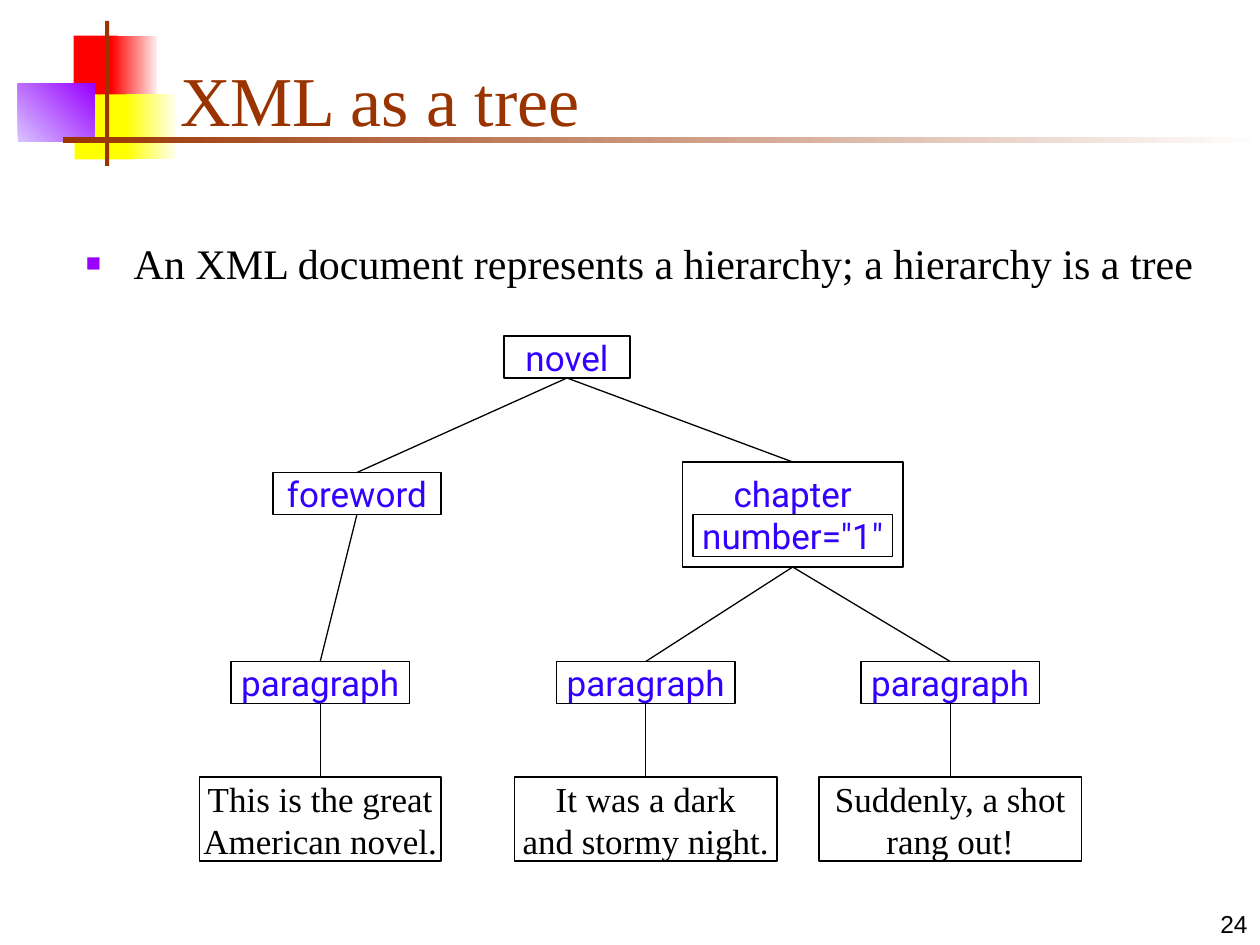
from lxml.etree import SubElement
from pptx import Presentation
from pptx.dml.color import RGBColor
from pptx.enum.shapes import MSO_CONNECTOR as LINE, MSO_SHAPE as SHAPE
from pptx.enum.text import MSO_ANCHOR as ANCHOR, PP_ALIGN as ALIGN
from pptx.oxml.ns import qn
from pptx.util import Inches, Pt

COLORS = {
    "red": "FF0000", "pale_red": "FFEAEA",
    "yellow": "FFFF00", "pale_yellow": "FFFFF0",
    "violet": "9900FF", "pale_violet": "D8C4FF",
    "brown": "993300", "white": "FFFFFF",
    "black": "000000", "tag": "3300FF",
}
SERIF, SANS, TAG_FONT = "Times New Roman", "Arial", "Roboto"
UNIT = Inches(1) // 12  # grid of 120 columns by 90 rows
TOP, BOTTOM = 0, 2      # connection sites of a rectangle


def rgb(name):
    """Return a named colour."""
    return RGBColor.from_string(COLORS[name])


def cells(*values):
    """Turn columns and rows into lengths."""
    return [round(v * UNIT) for v in values]


def write(p, text, font, size, color):
    """Add text to a paragraph, one run per line."""
    for i, line in enumerate(text.split("\n")):
        if i:
            p.add_line_break()
        r = p.add_run()
        r.text = line
        r.font.name, r.font.size = font, Pt(size)
        r.font.color.rgb = rgb(color)


def add_bar(slide, box, color, end=None, angle=0):
    """Add a borderless rectangle, plain or fading to an end colour."""
    s = slide.shapes.add_shape(SHAPE.RECTANGLE, *cells(*box))
    s.shadow.inherit = False
    s.line.fill.background()
    if end:
        s.fill.gradient()
        s.fill.gradient_angle = angle
        for stop, name in zip(s.fill.gradient_stops, (color, end)):
            stop.color.rgb = rgb(name)
    else:
        s.fill.solid()
        s.fill.fore_color.rgb = rgb(color)


def add_text(slide, box, text, font, size, color,
             anchor=ANCHOR.TOP, align=ALIGN.LEFT):
    """Add a wrapping text box and return its paragraph."""
    tf = slide.shapes.add_textbox(*cells(*box)).text_frame
    tf.word_wrap, tf.vertical_anchor = True, anchor
    p = tf.paragraphs[0]
    p.alignment = align
    write(p, text, font, size, color)
    return p


def add_bullet(p, char, color, percent):
    """Give a paragraph a hanging square bullet."""
    p.space_before = Pt(4.8)
    pPr = p._p.get_or_add_pPr()
    indent = Inches(0.38)
    pPr.set("marL", str(indent))
    pPr.set("indent", str(-indent))
    SubElement(SubElement(pPr, qn("a:buClr")), qn("a:srgbClr"), val=COLORS[color])
    SubElement(pPr, qn("a:buSzPct"), val=str(percent * 1000))
    SubElement(pPr, qn("a:buFont"), typeface=SANS)
    SubElement(pPr, qn("a:buChar"), char=char)


def add_node(slide, box, text="", font=TAG_FONT, color="tag",
             kind=SHAPE.RECTANGLE):
    """Add an outlined tree node with centred text."""
    s = slide.shapes.add_shape(kind, *cells(*box))
    s.shadow.inherit = False
    s.fill.background()
    s.line.color.rgb, s.line.width = rgb("black"), Pt(0.75)
    if text:
        tf = s.text_frame
        tf.word_wrap, tf.vertical_anchor = False, ANCHOR.MIDDLE
        tf.paragraphs[0].alignment = ALIGN.CENTER
        write(tf.paragraphs[0], text, font, 20, color)
    return s


def link(slide, parent, child):
    """Connect the bottom of a parent to the top of a child."""
    c = slide.shapes.add_connector(LINE.STRAIGHT, 0, 0, 0, 0)
    c.begin_connect(parent, BOTTOM)
    c.end_connect(child, TOP)
    c.line.color.rgb, c.line.width = rgb("black"), Pt(0.75)
    SubElement(c._element.spPr, qn("a:effectLst"))


def add_decoration(slide):
    """Add the coloured blocks and rules beside the title."""
    add_bar(slide, (7, 3.4, 4.2, 6.2), "red")
    add_bar(slide, (10.6, 3.4, 4.3, 6.2), "red", "pale_red")
    add_bar(slide, (7.1, 9, 5.5, 6.2), "yellow")
    add_bar(slide, (12, 9, 4.8, 6.2), "yellow", "pale_yellow")
    add_bar(slide, (1.7, 8, 7.3, 5.5), "pale_violet", "violet", 45)
    add_bar(slide, (10, 2, 0.4, 13.8), "brown")
    add_bar(slide, (6, 13, 114, 0.6), "brown", "white")


def add_tree(slide):
    """Add the element tree with its text leaves."""
    novel = add_node(slide, (48, 32, 12, 4), "novel", kind=SHAPE.FLOWCHART_PROCESS)
    foreword = add_node(slide, (26, 45, 16, 4), "foreword")
    chapter = add_node(slide, (65, 44, 21, 10), 'chapter\nnumber="1"')
    add_node(slide, (66, 49, 19, 4))
    for section in (foreword, chapter):
        link(slide, novel, section)

    branches = [
        (foreword, 30.5, 23, "This is the great\nAmerican novel."),
        (chapter, 61.5, 25, "It was a dark\nand stormy night."),
        (chapter, 90.5, 25, "Suddenly, a shot\nrang out!"),
    ]
    for section, center, width, text in branches:
        paragraph = add_node(slide, (center - 8.5, 63, 17, 4), "paragraph")
        leaf = add_node(slide, (center - width / 2, 74, width, 8),
                        text, SERIF, "black")
        link(slide, section, paragraph)
        link(slide, paragraph, leaf)


def main():
    """Build and save the slide."""
    prs = Presentation()
    prs.slide_width, prs.slide_height = cells(120, 90)
    slide = prs.slides.add_slide(prs.slide_layouts[6])
    add_decoration(slide)
    add_text(slide, (95, 84, 25, 6), "24", SANS, 14, "black",
             ANCHOR.BOTTOM, ALIGN.RIGHT)
    add_text(slide, (16, 3, 102.2, 11), "XML as a tree", SERIF, 40, "brown",
             ANCHOR.BOTTOM)
    p = add_text(slide, (7, 22, 109, 6),
                 "An XML document represents a hierarchy; a hierarchy is a tree",
                 SERIF, 24, "black")
    add_bullet(p, "■", "violet", 60)
    add_tree(slide)
    prs.save("out.pptx")


main()
